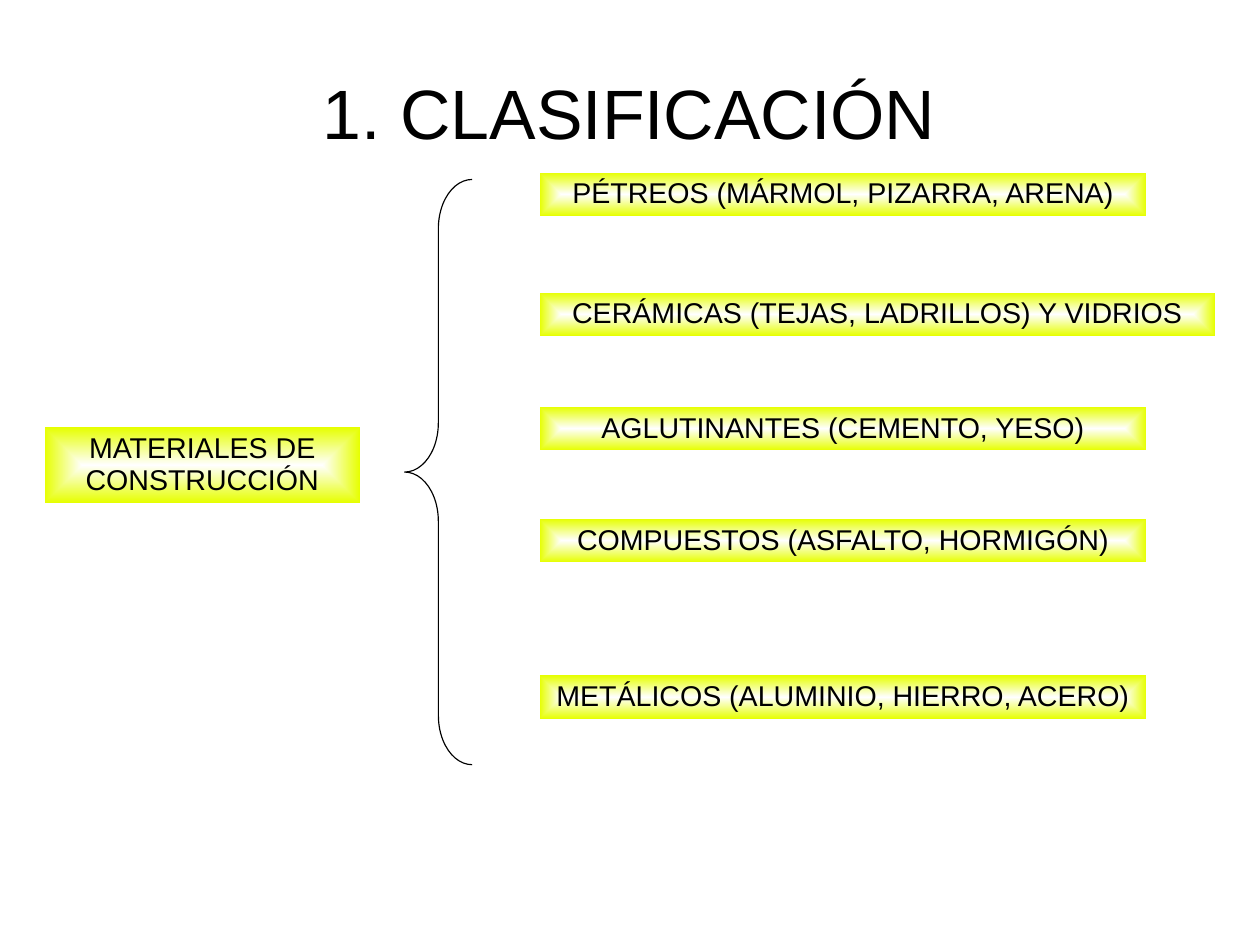
from lxml.etree import SubElement
from pptx import Presentation
from pptx.dml.color import RGBColor
from pptx.enum.shapes import MSO_SHAPE
from pptx.enum.text import MSO_ANCHOR, MSO_AUTO_SIZE, PP_ALIGN
from pptx.oxml.ns import qn
from pptx.util import Inches, Pt

COLORS = {"text": "000000", "center": "FFFFFF", "edge": "E6FF00"}
CM_PER_INCH = 2.54
SLIDE_SIZE_CM = (28, 21)
TITLE = "1. CLASIFICACIÓN"
ROOT = ("MATERIALES DE CONSTRUCCIÓN", 0.39, 3.74, 2.76, 0.66)
BRANCH_LEFT, BRANCH_HEIGHT = 4.72, 0.38
# Text, top, width
BRANCHES = [
    ("PÉTREOS (MÁRMOL, PIZARRA, ARENA)", 1.51, 5.31),
    ("CERÁMICAS (TEJAS, LADRILLOS) Y VIDRIOS", 2.56, 5.91),
    ("AGLUTINANTES (CEMENTO, YESO)", 3.56, 5.31),
    ("COMPUESTOS (ASFALTO, HORMIGÓN)", 4.54, 5.31),
    ("METÁLICOS (ALUMINIO, HIERRO, ACERO)", 5.91, 5.31),
]


def rgb(name):
    return RGBColor.from_string(COLORS[name])


def write(shape, text, size, anchor):
    frame = shape.text_frame
    frame.text = text
    frame.word_wrap = True
    frame.auto_size = MSO_AUTO_SIZE.SHAPE_TO_FIT_TEXT
    frame.vertical_anchor = anchor
    paragraph = frame.paragraphs[0]
    paragraph.alignment = PP_ALIGN.CENTER
    paragraph.line_spacing = 0.93
    paragraph.font.name = "Arial"
    paragraph.font.size = Pt(size)
    paragraph.font.color.rgb = rgb("text")


def fill_from_center(shape):
    """Give the shape a rectangular gradient, light in the middle."""
    shape.fill.gradient()
    for stop, position, name in zip(shape.fill.gradient_stops, (0, 1), ("center", "edge")):
        stop.position = position
        stop.color.rgb = rgb(name)
    gradient = shape._element.spPr.find(qn("a:gradFill"))
    gradient.remove(gradient.find(qn("a:lin")))
    path = SubElement(gradient, qn("a:path"), {"path": "rect"})
    SubElement(path, qn("a:fillToRect"), {side: "50000" for side in "ltrb"})


def add_box(slide, text, left, top, width, height):
    box = slide.shapes.add_shape(
        MSO_SHAPE.RECTANGLE, Inches(left), Inches(top), Inches(width), Inches(height))
    box.shadow.inherit = False
    box.line.fill.background()
    fill_from_center(box)
    write(box, text, 18, MSO_ANCHOR.TOP)


def add_brace(slide):
    brace = slide.shapes.add_shape(
        MSO_SHAPE.LEFT_BRACE, Inches(3.54), Inches(1.57), Inches(0.59), Inches(5.12))
    brace.adjustments[0] = 0.73
    brace.shadow.inherit = False
    brace.fill.background()
    brace.line.color.rgb = rgb("text")
    brace.line.width = Pt(0)


def main():
    presentation = Presentation()
    width, height = (Inches(side / CM_PER_INCH) for side in SLIDE_SIZE_CM)
    presentation.slide_width, presentation.slide_height = width, height
    slide = presentation.slides.add_slide(presentation.slide_layouts[5])

    title = slide.shapes.title
    title.left, title.top = Inches(0.55), Inches(0.33)
    title.width, title.height = Inches(9.92), Inches(1.38)
    write(title, TITLE, 44, MSO_ANCHOR.MIDDLE)
    frame = title.text_frame
    frame.margin_left = frame.margin_right = frame.margin_top = frame.margin_bottom = 0

    add_box(slide, *ROOT)
    add_brace(slide)
    for text, top, box_width in BRANCHES:
        add_box(slide, text, BRANCH_LEFT, top, box_width, BRANCH_HEIGHT)

    presentation.save("out.pptx")


if __name__ == "__main__":
    main()
